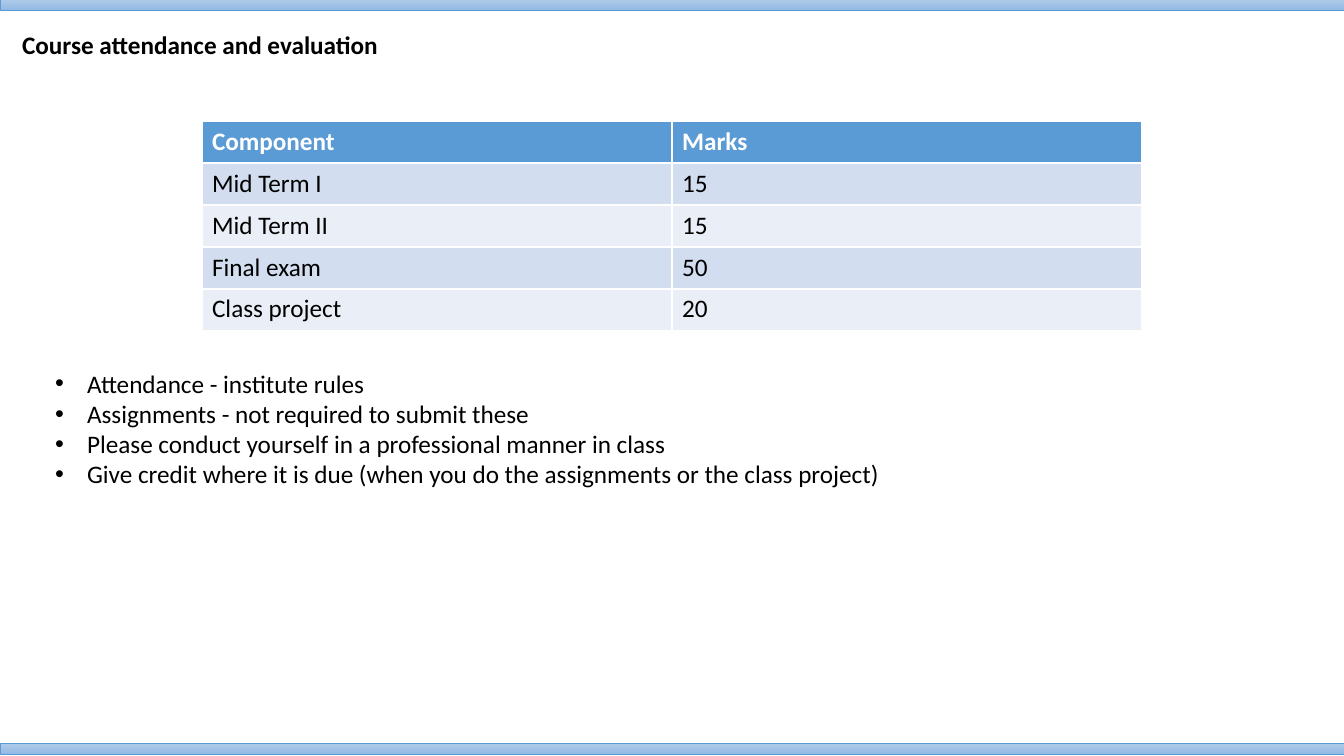
from lxml import etree
from pptx import Presentation
from pptx.dml.color import RGBColor
from pptx.enum.shapes import MSO_SHAPE
from pptx.enum.text import MSO_ANCHOR, MSO_AUTO_SIZE, PP_ALIGN
from pptx.oxml.ns import qn
from pptx.util import Pt

TITLE = "Course attendance and evaluation"
MARKS = [
    ("Component", "Marks"),
    ("Mid Term I", "15"),
    ("Mid Term II", "15"),
    ("Final exam", "50"),
    ("Class project", "20"),
]
RULES = [
    "Attendance - institute rules",
    "Assignments - not required to submit these",
    "Please conduct yourself in a professional manner in class",
    "Give credit where it is due (when you do the assignments or the class project)",
]

BLACK = RGBColor(0x00, 0x00, 0x00)
WHITE = RGBColor(0xFF, 0xFF, 0xFF)
BLUE = RGBColor(0x5B, 0x9B, 0xD5)
BAND_FILLS = (RGBColor(0xEA, 0xEF, 0xF7), RGBColor(0xD2, 0xDE, 0xEF))
BAR_STOPS = (RGBColor(0xB1, 0xCB, 0xE9), RGBColor(0x93, 0xB9, 0xE4))
FONT = "Calibri"
FONT_SIZE = Pt(18)

RECTANGLE = MSO_SHAPE.RECTANGLE
TOP = MSO_ANCHOR.TOP
LEFT = PP_ALIGN.LEFT
NO_AUTOFIT = MSO_AUTO_SIZE.NONE

SLIDE_WIDTH, SLIDE_HEIGHT = 1344, 756
BAR_HEIGHT = 11
BAR_TOPS = (-1, 743)
TITLE_BOX = (12, 24, 1238, 42)
RULES_BOX = (45, 363, 1259, 133)
TABLE_LEFT, TABLE_TOP = 202, 121
COLUMN_WIDTH, ROW_HEIGHT = 470, 42
BULLET_INDENT = 32


def px(length):
    return round(length * 914400 / 100.8)


def style_paragraph(paragraph, color, bold=False):
    paragraph.alignment = LEFT
    paragraph.space_before = Pt(0)
    paragraph.line_spacing = 1.0
    font = paragraph.font
    font.name, font.size, font.bold = FONT, FONT_SIZE, bold
    font.color.rgb = color


def fill_placeholder(shape, box, lines, bold=False):
    shape.left, shape.top, shape.width, shape.height = map(px, box)
    frame = shape.text_frame
    frame.text = "\n".join(lines)
    frame.word_wrap = True
    frame.auto_size = NO_AUTOFIT
    frame.vertical_anchor = TOP
    for paragraph in frame.paragraphs:
        style_paragraph(paragraph, BLACK, bold)


def add_bullet(paragraph):
    properties = paragraph._p.get_or_add_pPr()
    properties.set("marL", str(px(BULLET_INDENT)))
    properties.set("indent", str(-px(BULLET_INDENT)))
    bullet_font = etree.Element(qn("a:buFont"), typeface="Arial")
    bullet = etree.Element(qn("a:buChar"), char="•")
    position = properties.index(properties.find(qn("a:defRPr")))
    properties.insert(position, bullet_font)
    properties.insert(position + 1, bullet)


def add_bar(slide, top):
    bar = slide.shapes.add_shape(RECTANGLE, 0, px(top), px(SLIDE_WIDTH), px(BAR_HEIGHT))
    bar.shadow.inherit = False
    bar.fill.gradient()
    bar.fill.gradient_angle = 270
    for stop, color in zip(bar.fill.gradient_stops, BAR_STOPS):
        stop.color.rgb = color
    bar.line.color.rgb = BLUE
    bar.line.width = Pt(0.5)


def add_marks_table(slide):
    rows, columns = len(MARKS), len(MARKS[0])
    table = slide.shapes.add_table(
        rows, columns, px(TABLE_LEFT), px(TABLE_TOP),
        px(columns * COLUMN_WIDTH), px(rows * ROW_HEIGHT),
    ).table
    for row, values in enumerate(MARKS):
        header = row == 0
        for column, value in enumerate(values):
            cell = table.cell(row, column)
            cell.text = value
            cell.fill.solid()
            cell.fill.fore_color.rgb = BLUE if header else BAND_FILLS[row % 2]
            style_paragraph(cell.text_frame.paragraphs[0], WHITE if header else BLACK, header)


def main():
    presentation = Presentation()
    presentation.slide_width = px(SLIDE_WIDTH)
    presentation.slide_height = px(SLIDE_HEIGHT)
    slide = presentation.slides.add_slide(presentation.slide_layouts[1])
    for top in BAR_TOPS:
        add_bar(slide, top)
    fill_placeholder(slide.shapes.title, TITLE_BOX, [TITLE], bold=True)
    add_marks_table(slide)
    rules = slide.placeholders[1]
    fill_placeholder(rules, RULES_BOX, RULES)
    for paragraph in rules.text_frame.paragraphs:
        add_bullet(paragraph)
    presentation.save("out.pptx")


if __name__ == "__main__":
    main()
